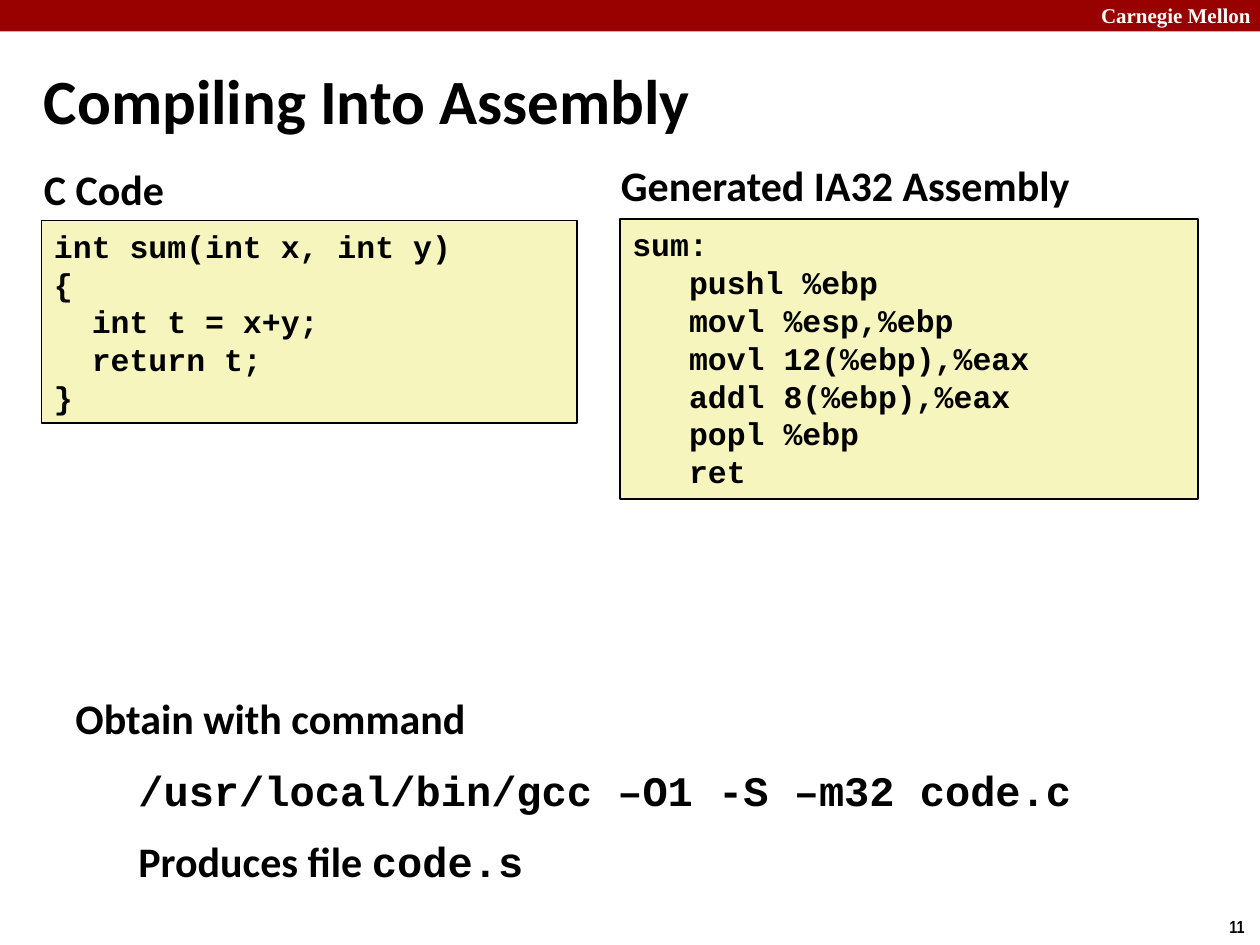
from pptx import Presentation
from pptx import util as u
from pptx.dml.color import RGBColor
from pptx.enum import shapes, text

COLORS = {"red": "990000", "white": "FFFFFF", "black": "000000", "cream": "F6F5BD"}
SANS, MONO = "Calibri", "Courier New"

# words, (left, top, width, height), size, font, colour, wrap, anchor
TOP, MID = text.MSO_ANCHOR.TOP, text.MSO_ANCHOR.MIDDLE
LABELS = [
    ("Carnegie Mellon", (8.64, -0.03, 1.43, 0.3), 12, "Times New Roman", "white", True, TOP),
    ("11", (9.66, 7.22, 0.34, 0.27), 10, "Arial Narrow", "black", False, TOP),
    ("Compiling Into Assembly", (0.25, 0.48, 7.49, 0.61), 36, SANS, "black", True, MID),
    ("C Code", (0.25, 1.25, 1.77, 0.4), 24, SANS, "black", True, TOP),
    ("Generated IA32 Assembly", (4.83, 1.22, 4.5, 0.45), 24, SANS, "black", True, TOP),
]
CODE = [
    ((0.33, 1.75, 4.25, 1.61), [
        "int sum(int x, int y)",
        "{",
        "  int t = x+y;",
        "  return t;",
        "}",
    ]),
    ((4.92, 1.74, 4.59, 2.22), [
        "sum:",
        "   pushl %ebp",
        "   movl %esp,%ebp",
        "   movl 12(%ebp),%eax",
        "   addl 8(%ebp),%eax",
        "   popl %ebp",
        "   ret",
    ]),
]
# level, runs of (words, font)
STEPS = [
    (0, [("Obtain with command", SANS)]),
    (1, [("/usr/local/bin/gcc –O1 -S –m32 code.c", MONO)]),
    (1, [("Produces file ", SANS), ("code.s", MONO)]),
]


def rgb(name):
    return RGBColor.from_string(COLORS[name])


def place(box):
    return [u.Inches(n) for n in box]


def add_rect(slide, box, fill, line=None):
    rect = slide.shapes.add_shape(shapes.MSO_SHAPE.RECTANGLE, *place(box))
    rect.shadow.inherit = False
    rect.fill.solid()
    rect.fill.fore_color.rgb = rgb(fill)
    if line:
        rect.line.color.rgb = rgb(line)
        rect.line.width = u.Pt(1)
    else:
        rect.line.fill.background()
    return rect


def write(shape, paras, size, color="black", wrap=True, anchor=TOP, gap=0):
    """Fill a shape with paragraphs, each a level and its runs."""
    frame = shape.text_frame
    frame.word_wrap = wrap
    frame.vertical_anchor = anchor
    for i, (level, runs) in enumerate(paras):
        para = frame.paragraphs[0] if i == 0 else frame.add_paragraph()
        para.alignment = text.PP_ALIGN.LEFT
        if level:
            para.level = level
            props = para._p.get_or_add_pPr()
            props.set("marL", str(u.Inches(0.5 * level)))
            props.set("indent", "0")
        if i and gap:
            para.space_before = u.Pt(gap)
        for words, face in runs:
            run = para.add_run()
            run.text = words
            style = {"name": face, "size": u.Pt(size), "bold": True}
            for key, value in style.items():
                setattr(run.font, key, value)
            run.font.color.rgb = rgb(color)


def main():
    deck = Presentation()
    deck.slide_width, deck.slide_height = u.Inches(10), u.Inches(7.5)
    slide = deck.slides.add_slide(deck.slide_layouts[6])

    add_rect(slide, (0, 0, 10, 0.25), "red")
    for words, box, size, face, color, wrap, anchor in LABELS:
        label = slide.shapes.add_textbox(*place(box))
        write(label, [(0, [(words, face)])], size, color, wrap, anchor)
    for box, lines in CODE:
        panel = add_rect(slide, box, "cream", "black")
        write(panel, [(0, [(line, MONO)]) for line in lines], 18)
    steps = slide.shapes.add_textbox(*place((0.5, 5.45, 8.17, 1.71)))
    write(steps, STEPS, 24, gap=12)

    deck.save("out.pptx")


if __name__ == "__main__":
    main()
